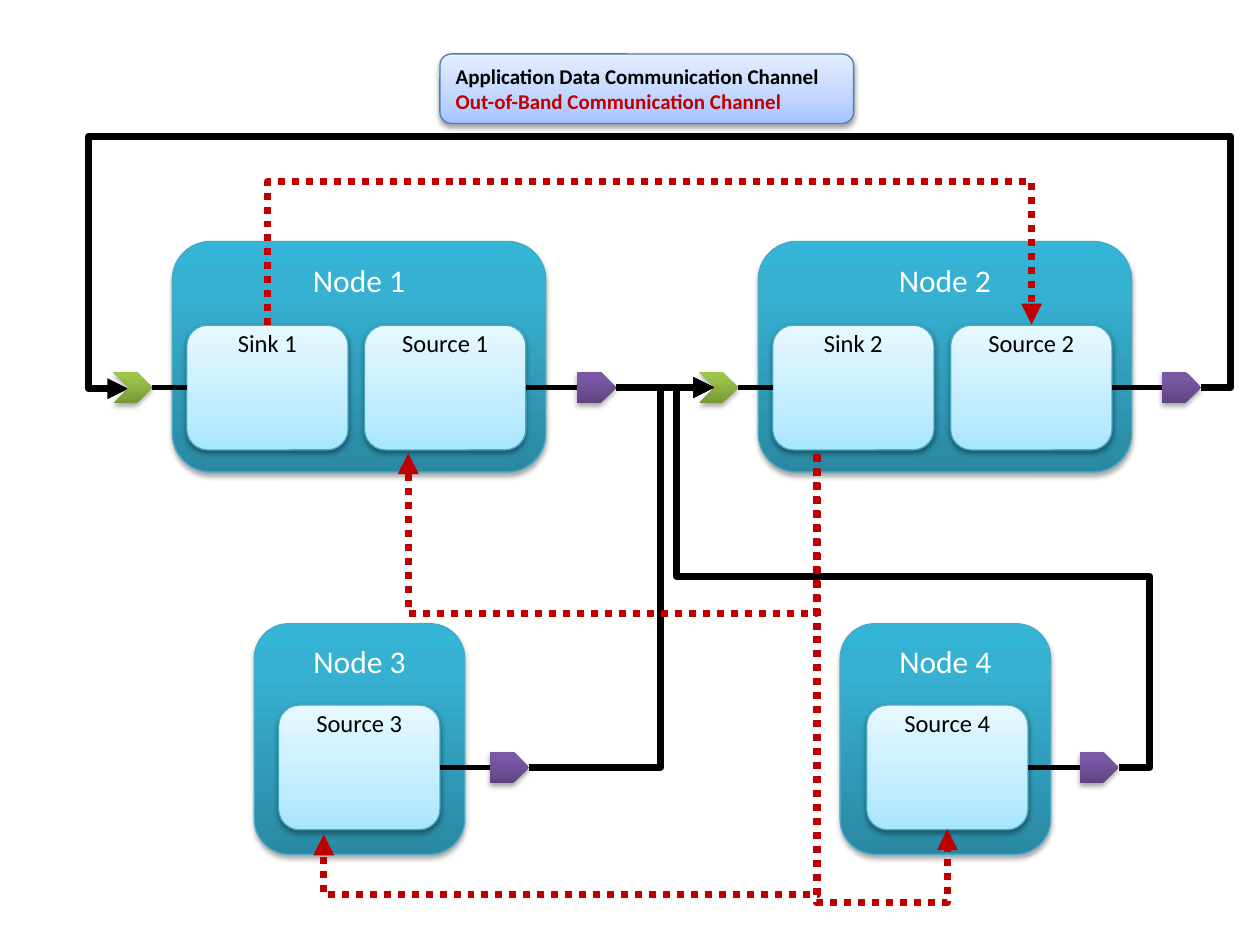
from lxml.etree import SubElement
from pptx import Presentation
from pptx.dml.color import RGBColor
from pptx.enum.dml import MSO_LINE
from pptx.enum.shapes import MSO_CONNECTOR, MSO_SHAPE
from pptx.enum.text import MSO_ANCHOR, PP_ALIGN
from pptx.oxml.ns import qn
from pptx.util import Pt

COLORS = {"white": "FFFFFF", "black": "000000", "red": "C00000",
          "edge": "46AAC5", "legend_edge": "4B7EBC"}
GRADIENTS = {
    "node": [(0, "2A88A2"), (80, "37B1D2"), (100, "34B4D6")],
    "box": [(0, "A7E6FF"), (35, "C1EDFF"), (100, "E7F8FF")],
    "output": [(0, "5F4480"), (80, "7B58A6"), (100, "7C57A8")],
    "input": [(0, "779737"), (80, "9BC348"), (100, "9DC746")],
    "legend": [(0, "A4C4FF"), (35, "BFD4FF"), (100, "E6EEFF")],
}
STRONG_SHADOW = (38, 1.6)
SOFT_SHADOW = (35, 1.8)
BOX_W, BOX_H = 92.2, 71.3
PORT_W, PORT_H = 22.2, 18
UPPER, LOWER = 185.8, 402.9


class Diagram:
    """Holds the text style and current slide, and draws nodes, ports and channels in points."""

    def __init__(self, slide, font="Calibri"):
        self.slide = slide
        self.font = font

    def shape(self, kind, x, y, w, h, gradient, shadow, edge=None):
        sp = self.slide.shapes.add_shape(kind, Pt(x), Pt(y), Pt(w), Pt(h))
        sp.fill.gradient()
        sp.fill.gradient_angle = 90
        props = sp._element.spPr
        stops = props.find(".//" + qn("a:gsLst"))
        for stop in list(stops):
            stops.remove(stop)
        for pos, color in GRADIENTS[gradient]:
            gs = SubElement(stops, qn("a:gs"), pos=str(pos * 1000))
            SubElement(gs, qn("a:srgbClr"), val=color)
        if edge:
            sp.line.color.rgb = RGBColor.from_string(COLORS[edge])
            sp.line.width = Pt(0.75)
        else:
            sp.line.fill.background()
        sp.shadow.inherit = False
        alpha, dist = shadow
        outer = SubElement(props.find(qn("a:effectLst")), qn("a:outerShdw"),
                           blurRad=str(Pt(3.1)), dist=str(Pt(dist)),
                           dir="5400000", rotWithShape="0")
        clr = SubElement(outer, qn("a:srgbClr"), val=COLORS["black"])
        SubElement(clr, qn("a:alpha"), val=str(alpha * 1000))
        return sp

    def text(self, sp, lines, size, align, bold=False, top=None):
        tf = sp.text_frame
        tf.word_wrap = True
        tf.vertical_anchor = MSO_ANCHOR.MIDDLE if top is None else MSO_ANCHOR.TOP
        if top is not None:
            tf.margin_top = Pt(top)
        fmt = {"name": self.font, "size": Pt(size), "bold": bold}
        for i, (words, color) in enumerate(lines):
            p = tf.add_paragraph() if i else tf.paragraphs[0]
            p.alignment = align
            r = p.add_run()
            r.text = words
            for name, value in fmt.items():
                setattr(r.font, name, value)
            r.font.color.rgb = RGBColor.from_string(COLORS[color])

    def node(self, name, x, y, w):
        sp = self.shape(MSO_SHAPE.ROUNDED_RECTANGLE, x, y, w, 131.8,
                        "node", SOFT_SHADOW, "edge")
        self.text(sp, [(name, "white")], 18, PP_ALIGN.CENTER, top=4.6)

    def box(self, name, x, y):
        sp = self.shape(MSO_SHAPE.ROUNDED_RECTANGLE, x, y, BOX_W, BOX_H,
                        "box", STRONG_SHADOW, "edge")
        self.text(sp, [(name, "black")], 14, PP_ALIGN.CENTER, top=-2)
        return sp

    def port(self, kind, x, box_y, gradient):
        y = box_y + (BOX_H - PORT_H) / 2
        return self.shape(kind, x, y, PORT_W, PORT_H, gradient, SOFT_SHADOW)

    def legend(self, x, y, w, h, lines):
        sp = self.shape(MSO_SHAPE.ROUNDED_RECTANGLE, x, y, w, h,
                        "legend", STRONG_SHADOW, "legend_edge")
        self.text(sp, lines, 12, PP_ALIGN.LEFT, bold=True)

    def connector(self, kind, start, end, color="black", width=4, arrow=True, dash=None):
        c = self.slide.shapes.add_connector(kind, *map(Pt, (*start, *end)))
        c.line.color.rgb = RGBColor.from_string(COLORS[color])
        c.line.width = Pt(width)
        if dash:
            c.line.dash_style = dash
        if arrow:
            SubElement(c.line._get_or_add_ln(), qn("a:tailEnd"), type="triangle")
        SubElement(c._element.spPr, qn("a:effectLst"))
        return c

    def link(self, left, right):
        c = self.connector(MSO_CONNECTOR.STRAIGHT, (0, 0), (0, 0), width=3, arrow=False)
        c.begin_connect(left, 3)
        c.end_connect(right, 1)

    def elbow(self, start, end, stops, rot=0, **style):
        (x1, y1), (x2, y2) = start, end
        dx, dy = x2 - x1, y2 - y1
        turn = {0: (dx, dy), 90: (dy, -dx), 270: (-dy, dx)}[rot]
        mid = ((x1 + x2) / 2, (y1 + y2) / 2)
        c = self.connector(MSO_CONNECTOR.ELBOW,
                           [m - t / 2 for m, t in zip(mid, turn)],
                           [m + t / 2 for m, t in zip(mid, turn)], **style)
        props = c._element.spPr
        if rot:
            props.find(qn("a:xfrm")).set("rot", str(rot * 60000))
        geom = props.find(qn("a:prstGeom"))
        geom.set("prst", f"bentConnector{len(stops) + 2}")
        guides = geom.find(qn("a:avLst"))
        for i, stop in enumerate(stops):
            axis = (i + (rot != 0)) % 2
            ratio = (stop - start[axis]) / (end[axis] - start[axis])
            SubElement(guides, qn("a:gd"), name=f"adj{i + 1}",
                       fmla=f"val {round(ratio * 100000)}")


def main():
    prs = Presentation()
    prs.slide_width, prs.slide_height = Pt(720), Pt(540)
    d = Diagram(prs.slides.add_slide(prs.slide_layouts[6]))

    for name, x, y, w in [("Node 1", 98.5, 138, 213.4), ("Node 2", 433.3, 138, 213.4),
                          ("Node 3", 145.3, 356.4, 120.3), ("Node 4", 480.1, 356.4, 120.3)]:
        d.node(name, x, y, w)

    for name, x, y, port_x in [("Source 1", 208.3, UPPER, 329.8),
                               ("Source 2", 543.2, UPPER, 664),
                               ("Source 3", 159.2, LOWER, 280),
                               ("Source 4", 495.2, LOWER, 617)]:
        d.link(d.box(name, x, y), d.port(MSO_SHAPE.PENTAGON, port_x, y, "output"))

    mid, low = UPPER + BOX_H / 2, LOWER + BOX_H / 2
    d.elbow((686.2, mid), (73.4, mid + 0.7), [703.5, 79.6, 51])

    for name, x, port_x in [("Sink 1", 106.7, 64.8), ("Sink 2", 441.5, 399.4)]:
        sink = d.box(name, x, UPPER)
        d.link(d.port(MSO_SHAPE.CHEVRON, port_x, UPPER, "input"), sink)

    target = (408.2, mid)
    d.elbow((639.3, low), target, [657, 329.4, 386.6])
    d.elbow((302.2, low), target, [377.3])
    d.connector(MSO_CONNECTOR.STRAIGHT, (352, mid), target)

    for start, end, level, rot in [((152.8, 186), (589.5, 185.5), 105.6, 90),
                                   ((466.8, 259.5), (233.3, 259), 348.6, 270),
                                   ((467.3, 259.8), (185, 476.8), 511.2, 90),
                                   ((466.8, 259.8), (541.4, 473.8), 516, 270)]:
        d.elbow(start, end, [level], rot, color="red", dash=MSO_LINE.ROUND_DOT)

    d.legend(251.4, 30.8, 236.4, 39.7,
             [("Application Data Communication Channel", "black"),
              ("Out-of-Band Communication Channel", "red")])
    prs.save("out.pptx")


if __name__ == "__main__":
    main()
